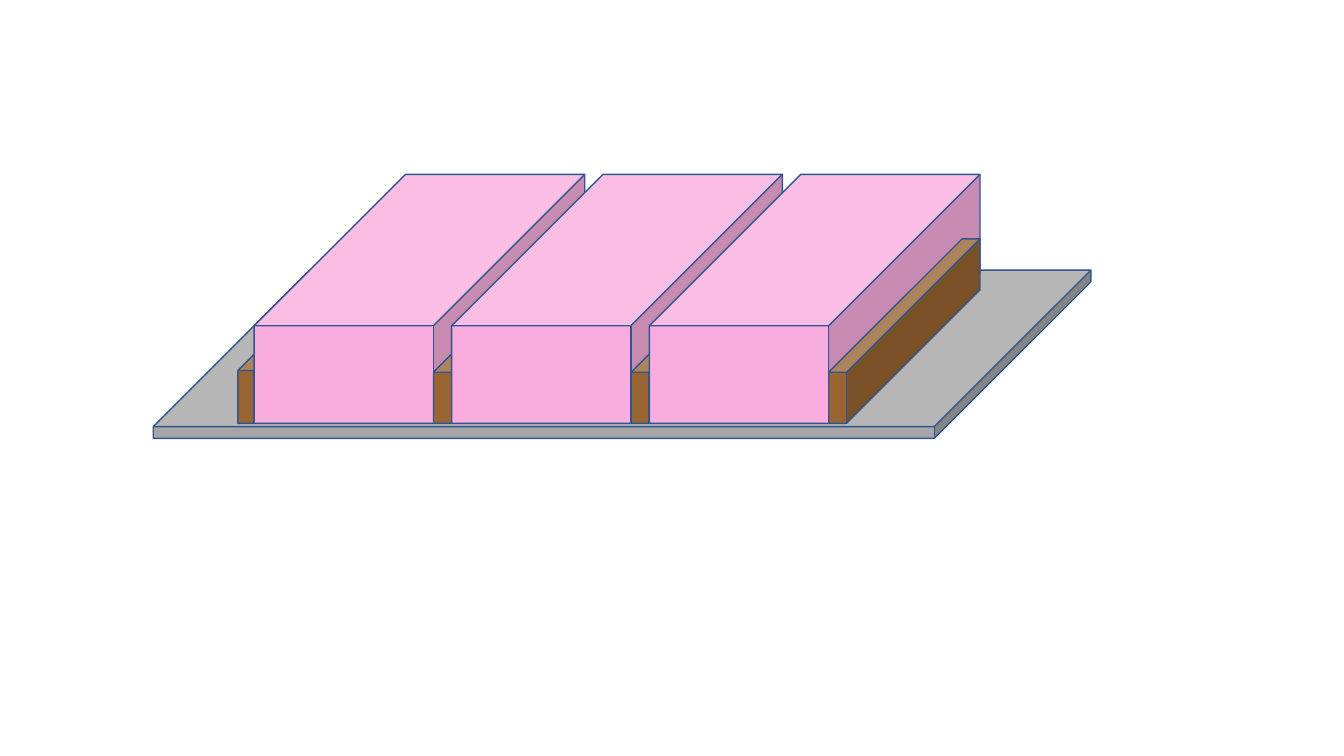
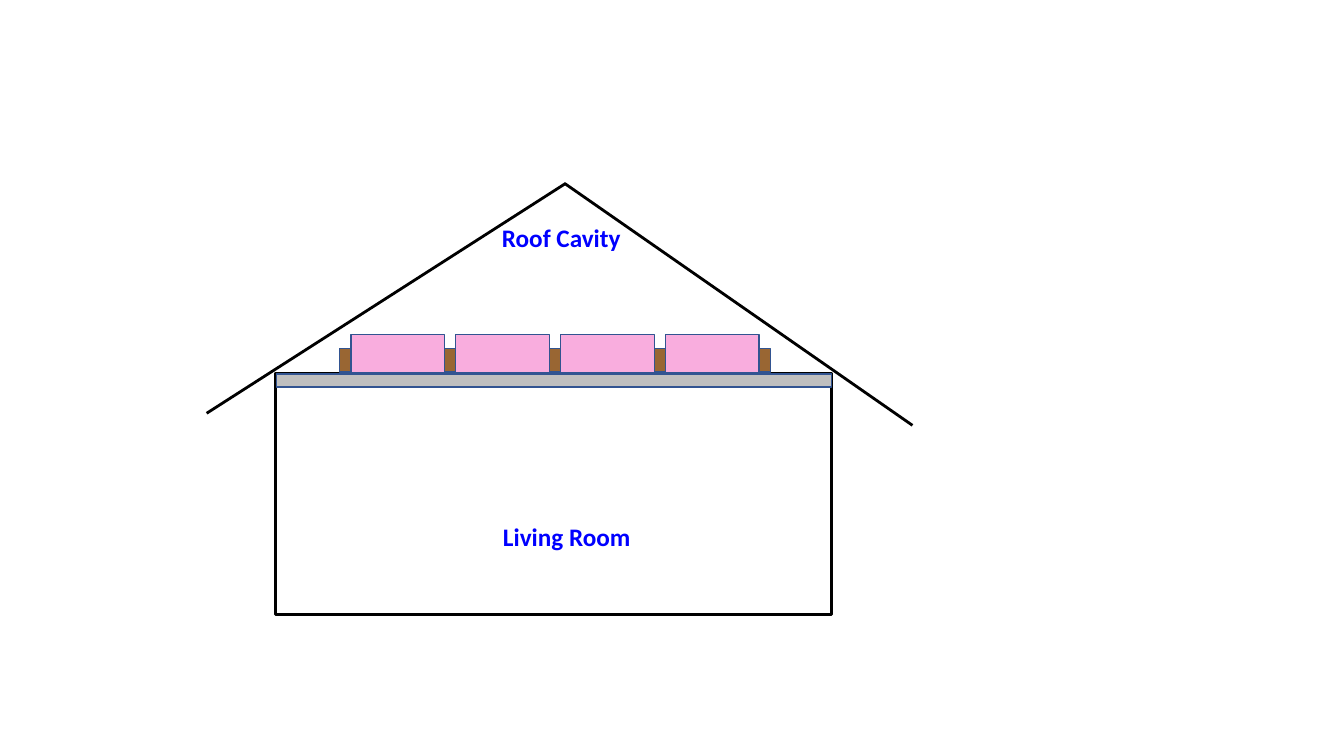
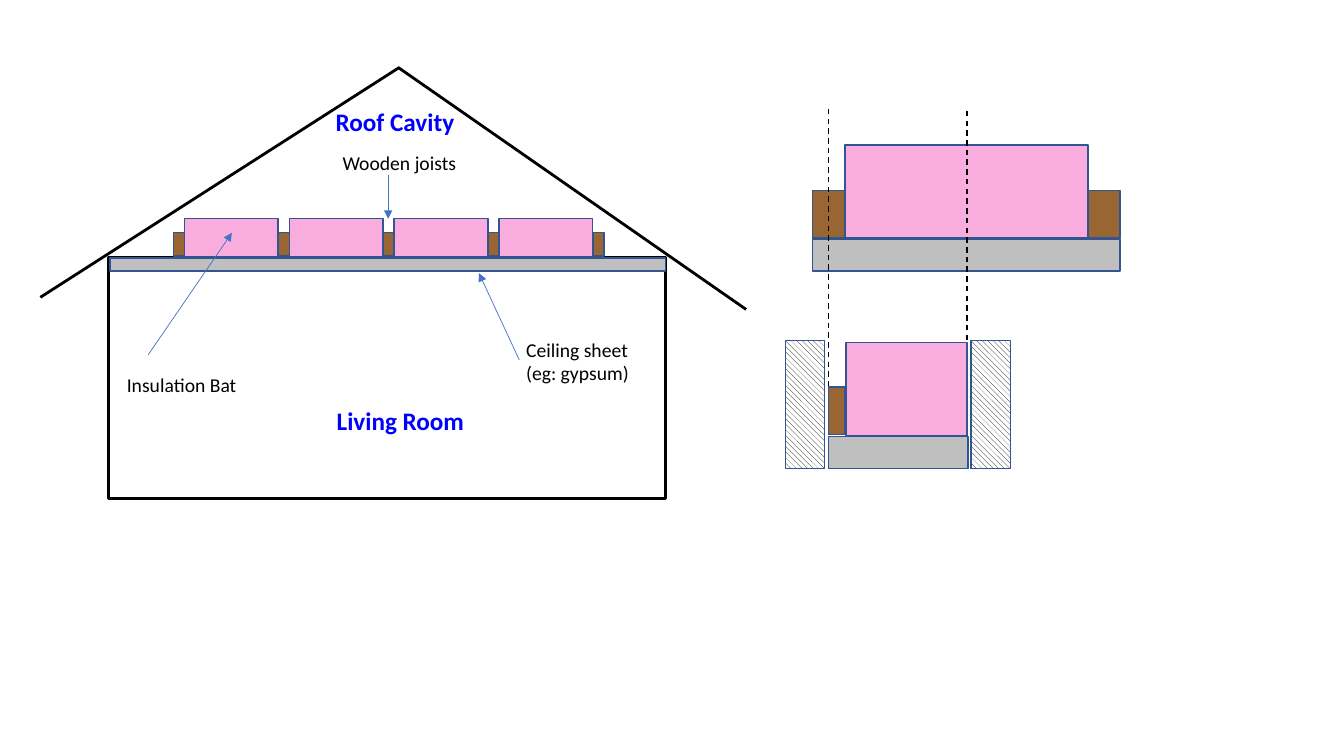
from lxml import etree
from pptx import Presentation
from pptx.dml.color import RGBColor
from pptx.enum import dml, shapes, text
from pptx.oxml.ns import qn
from pptx.util import Inches, Pt

# Theme
THEME = {
    "font": "Calibri", "room_pt": 18, "note_pt": 14,
    "outline": "325491", "bat": "F9ADDE", "joist": "996633",
    "base": "A6A6A6", "ceiling": "BFBFBF", "ink": "000000",
    "paper": "FFFFFF", "room": "0000FF", "arrow": "4472C4",
}
RECT, CUBE = shapes.MSO_SHAPE.RECTANGLE, shapes.MSO_SHAPE.CUBE

# Slide 1: cubes as (left, top, width, height), depth ratio
BASE = (1.52, 2.68, 9.3, 1.67), 0.93
EDGE_JOIST = (2.36, 2.53, 1.3, 1.67), 0.882
BAT_3D = (2.52, 1.73, 3.28, 2.47), 0.608
JOIST_3D = (4.3, 2.37, 1.5, 1.83), 0.882
BAYS_3D, PITCH_3D = 3, 1.96

# House parts, measured from the top left corner of the room
WALLS = (0, 0, 5.52, 2.4)
CEILING = (0.01, 0.01, 5.51, 0.13)
ROOF = [((-0.68, 0.4), (2.88, -1.88)), ((6.32, 0.52), (2.87, -1.88))]
BAT = (0.75, -0.38, 0.93, 0.38)
JOIST = (0.64, -0.24, 0.11, 0.23)
BAYS, PITCH = 4, 1.04
ROOMS = [("Roof Cavity", (2.15, -1.54, 1.39, 0.4)),
         ("Living Room", (2.16, 1.42, 1.48, 0.4))]
HOUSE_2, HOUSE_3 = (2.73, 3.7), (1.08, 2.55)

# Slide 3: notes, arrows and the enlarged bay
NOTES = [(["Ceiling sheet", "(eg: gypsum)"], (5.12, 3.3, 1.23, 0.57)),
         (["Insulation Bat"], (1.16, 3.65, 1.3, 0.34)),
         (["Wooden joists"], (3.3, 1.45, 1.34, 0.34))]
ARROWS = [((5.15, 3.57), (4.75, 2.71)), ((1.47, 3.52), (2.3, 2.31)),
          ((3.85, 1.74), (3.85, 2.17))]
FULL_BAY = [("ceiling", (8.06, 2.37, 3.05, 0.32)), ("bat", (8.38, 1.44, 2.41, 0.92)),
            ("joist", (8.06, 1.89, 0.32, 0.47)), ("joist", (10.79, 1.89, 0.32, 0.47))]
CUT_LINES = [((8.22, 1.08), (8.22, 4.62)), ((9.59, 1.1), (9.59, 4.64))]
HALF_BAY = [("ceiling", (8.22, 4.33, 1.38, 0.32)), ("joist", (8.22, 3.84, 0.16, 0.47)),
            ("bat", (8.39, 3.4, 1.2, 0.92))]
INSULATED_SIDES = [(9.63, 3.38, 0.39, 1.27), (7.79, 3.38, 0.39, 1.27)]


def rgb(name):
    return RGBColor.from_string(THEME[name])


def inches(values):
    return [Inches(v) for v in values]


def moved(box, dx, dy=0):
    return (box[0] + dx, box[1] + dy, *box[2:])


def add_block(parent, box, fill=None, kind=RECT, line="outline", width=1):
    sp = parent.shapes.add_shape(kind, *inches(box))
    sp.shadow.inherit = False
    if fill:
        sp.fill.solid()
        sp.fill.fore_color.rgb = rgb(fill)
    else:
        sp.fill.background()
    sp.line.color.rgb = rgb(line)
    sp.line.width = Pt(width)
    return sp


def add_cube(s, cube, fill, dx=0):
    box, depth = cube
    add_block(s, moved(box, dx), fill, CUBE).adjustments[0] = depth


def add_line(s, start, end, color="ink", width=1, dash=None, arrow=False):
    c = s.shapes.add_connector(shapes.MSO_CONNECTOR.STRAIGHT, *inches(start + end))
    c.line.color.rgb = rgb(color)
    c.line.width = Pt(width)
    if dash:
        c.line.dash_style = dash
    props = c.element.spPr
    if arrow:
        etree.SubElement(props.find(qn("a:ln")), qn("a:tailEnd"), type="triangle")
    etree.SubElement(props, qn("a:effectLst"))


def add_label(s, lines, box, size, color, bold=False):
    tf = s.shapes.add_textbox(*inches(box)).text_frame
    tf.word_wrap = False
    tf.auto_size = text.MSO_AUTO_SIZE.SHAPE_TO_FIT_TEXT
    for i, line in enumerate(lines):
        p = tf.add_paragraph() if i else tf.paragraphs[0]
        r = p.add_run()
        r.text = line
        r.font.name = THEME["font"]
        r.font.size = Pt(THEME[size])
        r.font.bold = bold
        r.font.color.rgb = rgb(color)


def add_house(s, x, y):
    add_block(s, moved(WALLS, x, y), line="ink", width=2)
    for (x1, y1), (x2, y2) in ROOF:
        add_line(s, (x + x1, y + y1), (x + x2, y + y2), width=2)
    for i in range(BAYS):
        bay = s.shapes.add_group_shape()
        add_block(bay, moved(BAT, x + i * PITCH, y), "bat")
        add_block(bay, moved(JOIST, x + i * PITCH, y), "joist")
    add_block(s, moved(JOIST, x + BAYS * PITCH, y), "joist")
    add_block(s, moved(CEILING, x, y), "ceiling")
    for name, box in ROOMS:
        add_label(s, [name], moved(box, x, y), "room_pt", "room", bold=True)


prs = Presentation()
prs.slide_width, prs.slide_height = Inches(13.33), Inches(7.5)
blank = prs.slide_layouts[6]

# Slide 1: bats between joists
s = prs.slides.add_slide(blank)
add_cube(s, BASE, "base")
add_cube(s, EDGE_JOIST, "joist")
for i in range(BAYS_3D):
    add_cube(s, BAT_3D, "bat", i * PITCH_3D)
    add_cube(s, JOIST_3D, "joist", i * PITCH_3D)

# Slide 2: house section
s = prs.slides.add_slide(blank)
add_house(s, *HOUSE_2)

# Slide 3: labelled section and repeating bay
s = prs.slides.add_slide(blank)
add_house(s, *HOUSE_3)
for lines, box in NOTES:
    add_label(s, lines, box, "note_pt", "ink")
for start, end in ARROWS:
    add_line(s, start, end, "arrow", 0.5, arrow=True)
for fill, box in FULL_BAY:
    add_block(s, box, fill)
for start, end in CUT_LINES:
    add_line(s, start, end, dash=dml.MSO_LINE.DASH)
for fill, box in HALF_BAY:
    add_block(s, box, fill)
for box in INSULATED_SIDES:
    side = add_block(s, box)
    side.fill.patterned()
    side.fill.pattern = dml.MSO_PATTERN.WIDE_DOWNWARD_DIAGONAL
    side.fill.fore_color.rgb = rgb("ink")
    side.fill.back_color.rgb = rgb("paper")

prs.save("out.pptx")
